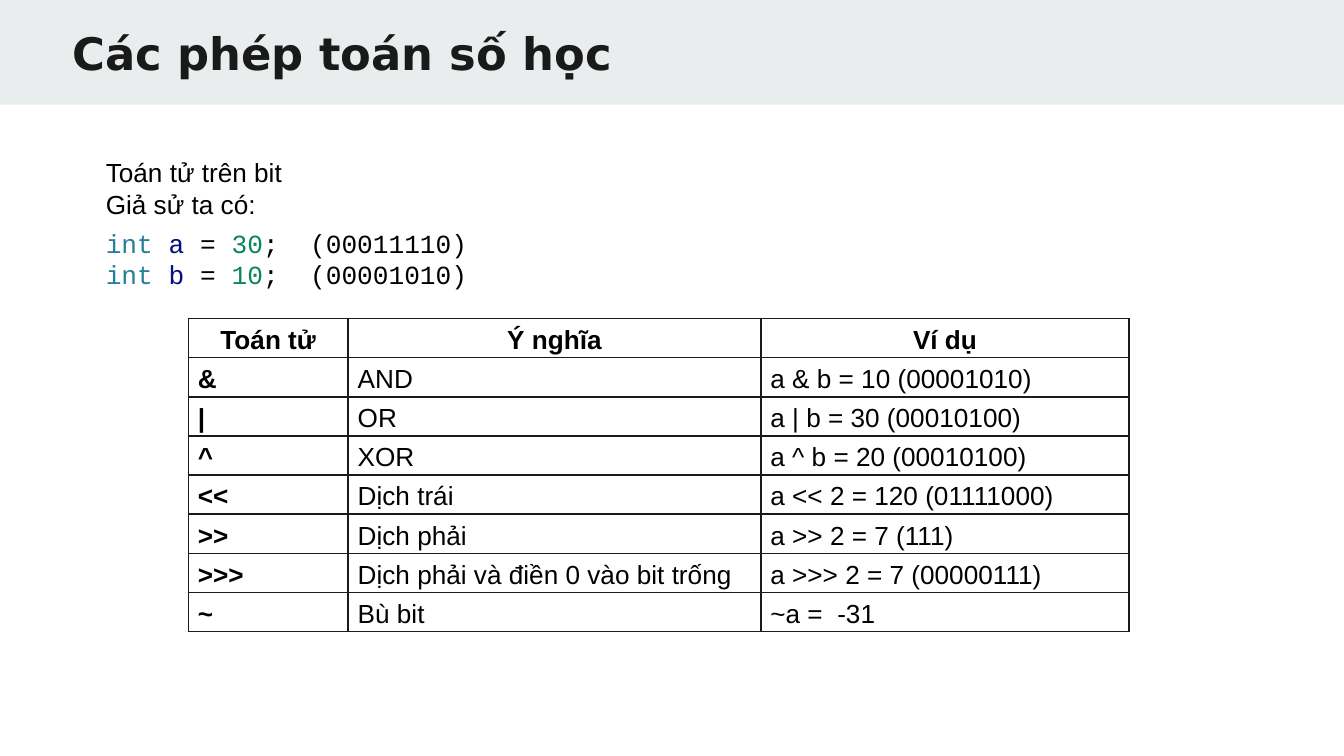
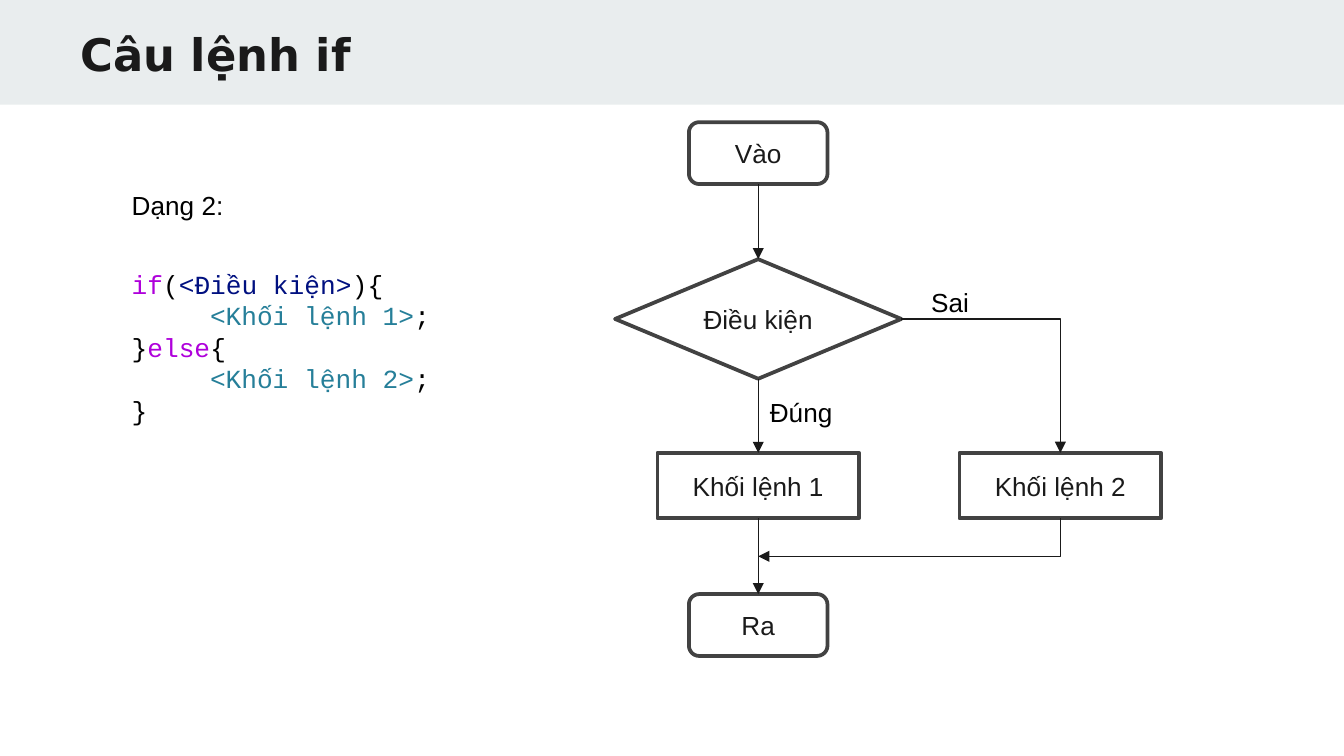
import pptx
import pptx.util
import pptx.dml.color
import pptx.enum.shapes
import pptx.enum.text
import pptx.oxml
import pptx.oxml.ns

Cm = pptx.util.Cm
Pt = pptx.util.Pt
Kind = pptx.enum.shapes.MSO_SHAPE
Join = pptx.enum.shapes.MSO_CONNECTOR
Align = pptx.enum.text.PP_ALIGN
Anchor = pptx.enum.text.MSO_ANCHOR
Fit = pptx.enum.text.MSO_AUTO_SIZE

INK, BLACK, GREY, BAND = "1A1A1A", "000000", "424242", "E9EDEE"
TEAL, NAVY, GREEN, PURPLE = "267F99", "001080", "098658", "AF00DB"
SANS, MONO, HEAD = "Arial", "Courier New", "DejaVu Sans"

VARS = [("a", "30", "00011110"), ("b", "10", "00001010")]
DECL = [
    [("int ", TEAL), (name, NAVY), (" = ", BLACK), (value, GREEN), (f";  ({bits})", BLACK)]
    for name, value, bits in VARS
]
INTRO = ["Toán tử trên bit", "Giả sử ta có:"]
TABLE = [
    ("Toán tử", "Ý nghĩa", "Ví dụ"),
    ("&", "AND", "a & b = 10 (00001010)"),
    ("|", "OR", "a | b = 30 (00010100)"),
    ("^", "XOR", "a ^ b = 20 (00010100)"),
    ("<<", "Dịch trái", "a << 2 = 120 (01111000)"),
    (">>", "Dịch phải", "a >> 2 = 7 (111)"),
    (">>>", "Dịch phải và điền 0 vào bit trống", "a >>> 2 = 7 (00000111)"),
    ("~", "Bù bit", "~a =  -31"),
]
COLS = [3.02, 7.8, 6.96]
ROW = 0.74

BRANCH = [
    [("if", PURPLE), ("(", BLACK), ("<Điều kiện>", NAVY), ("){", BLACK)],
    [("<Khối lệnh 1>", TEAL), (";", BLACK)],
    [("}", BLACK), ("else", PURPLE), ("{", BLACK)],
    [("<Khối lệnh 2>", TEAL), (";", BLACK)],
    [("}", BLACK)],
]
MAIN, SIDE = 14.33, 20.04
NODES = {
    "in": ("Vào", Kind.ROUNDED_RECTANGLE, MAIN, 2.31, 2.62, 1.17),
    "out": ("Ra", Kind.ROUNDED_RECTANGLE, MAIN, 11.23, 2.62, 1.17),
    "test": ("Điều kiện", Kind.DIAMOND, MAIN, 4.9, 5.41, 2.26),
    "yes": ("Khối lệnh 1", Kind.RECTANGLE, MAIN, 8.56, 3.81, 1.24),
    "no": ("Khối lệnh 2", Kind.RECTANGLE, SIDE, 8.56, 3.81, 1.24),
}
FLOW = ["in", "test", "yes", "out"]
LABELS = [("Đúng", 14.3, 7.37), ("Sai", 17.35, 5.28)]


def tint(code):
    return pptx.dml.color.RGBColor.from_string(code)


def node(tag, inner="", **attrs):
    space = pptx.oxml.ns.nsdecls("a")
    pairs = "".join(f' {key}="{val}"' for key, val in attrs.items())
    return pptx.oxml.parse_xml(f"<a:{tag} {space}{pairs}>{inner}</a:{tag}>")


def write(frame, lines, font=SANS, size=14, color=BLACK, bold=False,
          align=Align.LEFT, space=None, indents=()):
    frame.word_wrap = True
    for i, line in enumerate(lines):
        para = frame.paragraphs[0] if i == 0 else frame.add_paragraph()
        para.alignment = align
        para.line_spacing = space
        if i in indents:
            para._p.get_or_add_pPr().set("marL", str(Cm(1.48)))
        for text, hue in [(line, color)] if isinstance(line, str) else line:
            run = para.add_run()
            run.text = text
            run.font.name, run.font.size, run.font.bold = font, Pt(size), bold
            run.font.color.rgb = tint(hue)


def label(slide, lines, x, y, w, h, **look):
    box = slide.shapes.add_textbox(Cm(x), Cm(y), Cm(w), Cm(h))
    write(box.text_frame, lines, **look)
    box.text_frame.auto_size = Fit.SHAPE_TO_FIT_TEXT


def start(text, x, y):
    slide = deck.slides.add_slide(plan)
    title = slide.shapes.title
    title.left, title.top, title.width, title.height = Cm(x), Cm(y), Cm(21.92), Cm(1.85)
    frame = title.text_frame
    frame.margin_left = frame.margin_right = Cm(0.25)
    frame.margin_top = frame.margin_bottom = Cm(0.25)
    frame.vertical_anchor = Anchor.TOP
    frame.auto_size = Fit.NONE
    write(frame, [text], font=HEAD, size=24, color=INK, bold=True)
    return slide


def band(slide):
    bar = slide.shapes.add_shape(Kind.RECTANGLE, 0, 0, deck.slide_width, Cm(1.98))
    bar.shadow.inherit = False
    bar.fill.solid()
    bar.fill.fore_color.rgb = tint(BAND)
    bar.line.fill.background()
    plan.shapes.element.insert(2, bar.element)


def grid(slide, x, y):
    table = slide.shapes.add_table(len(TABLE), len(COLS), Cm(x), Cm(y),
                                   Cm(sum(COLS)), Cm(ROW * len(TABLE))).table
    table.first_row = table.horz_banding = False
    for col, wide in zip(table.columns, COLS):
        col.width = Cm(wide)
    fill = f'<a:solidFill><a:srgbClr val="{INK}"/></a:solidFill>'
    for r, row in enumerate(TABLE):
        table.rows[r].height = Cm(ROW)
        for c, text in enumerate(row):
            cell = table.cell(r, c)
            cell.margin_left = cell.margin_right = Cm(0.18)
            cell.margin_top = cell.margin_bottom = 0
            cell.vertical_anchor = Anchor.MIDDLE
            cell.fill.background()
            for i, side in enumerate("LRTB"):
                cell._tc.get_or_add_tcPr().insert(i, node("ln" + side, fill, w=Pt(1)))
            write(cell.text_frame, [text], bold=r == 0 or c == 0, space=1.15,
                  align=Align.LEFT if r else Align.CENTER)


def block(slide, text, kind, mid, top, w, h):
    shape = slide.shapes.add_shape(kind, Cm(mid - w / 2), Cm(top), Cm(w), Cm(h))
    shape.shadow.inherit = False
    shape.fill.background()
    shape.line.color.rgb = tint(GREY)
    shape.line.width = Pt(2)
    shape.text_frame.vertical_anchor = Anchor.MIDDLE
    write(shape.text_frame, [text], color=INK, align=Align.CENTER)


def arrow(slide, x1, y1, x2, y2, bent=False, turn=False):
    if turn:
        mx, my = (x1 + x2) / 2, (y1 + y2) / 2
        dx, dy = abs(y2 - y1) / 2, abs(x2 - x1) / 2
        x1, y1, x2, y2 = mx - dx, my - dy, mx + dx, my + dy
    line = slide.shapes.add_connector(Join.ELBOW if bent else Join.STRAIGHT,
                                      Cm(x1), Cm(y1), Cm(x2), Cm(y2))
    line.line.color.rgb = tint(INK)
    line.line.width = Pt(0.75)
    line.line._get_or_add_ln().append(node("tailEnd", type="triangle"))
    props = line.element.spPr
    props.append(node("effectLst"))
    if bent:
        props.prstGeom.set("prst", "bentConnector2")
    if turn:
        props.xfrm.set("rot", str(90 * 60000))


deck = pptx.Presentation()
deck.slide_width, deck.slide_height = Cm(25.4), Cm(14.29)
plan = deck.slide_layouts.get_by_name("Title Only")

bits = start("Các phép toán số học", 1.12, 0.23)
band(bits)
label(bits, INTRO, 1.75, 2.84, 21.51, 2.06)
grid(bits, 3.56, 6.02)
label(bits, DECL, 1.75, 4.17, 12.7, 1.45, font=MONO)

cond = start("Câu lệnh if", 1.27, 0.25)
label(cond, ["Dạng 2:"], 2.24, 3.45, 5.31, 0.86)
label(cond, BRANCH, 2.24, 4.95, 12.7, 3.25, font=MONO, indents=(1, 3))
for item in NODES.values():
    block(cond, *item)
for a, b in zip(FLOW, FLOW[1:]):
    top, high = NODES[a][3], NODES[a][5]
    arrow(cond, MAIN, top + high, MAIN, NODES[b][3])
for text, x, y in LABELS:
    label(cond, [text], x, y, 1.93, 0.86)
test, no = NODES["test"], NODES["no"]
foot = no[3] + no[5]
arrow(cond, MAIN + test[4] / 2, test[3] + test[5] / 2, SIDE, no[3], bent=True)
arrow(cond, SIDE, foot, MAIN, (foot + NODES["out"][3]) / 2, bent=True, turn=True)

deck.save("out.pptx")
